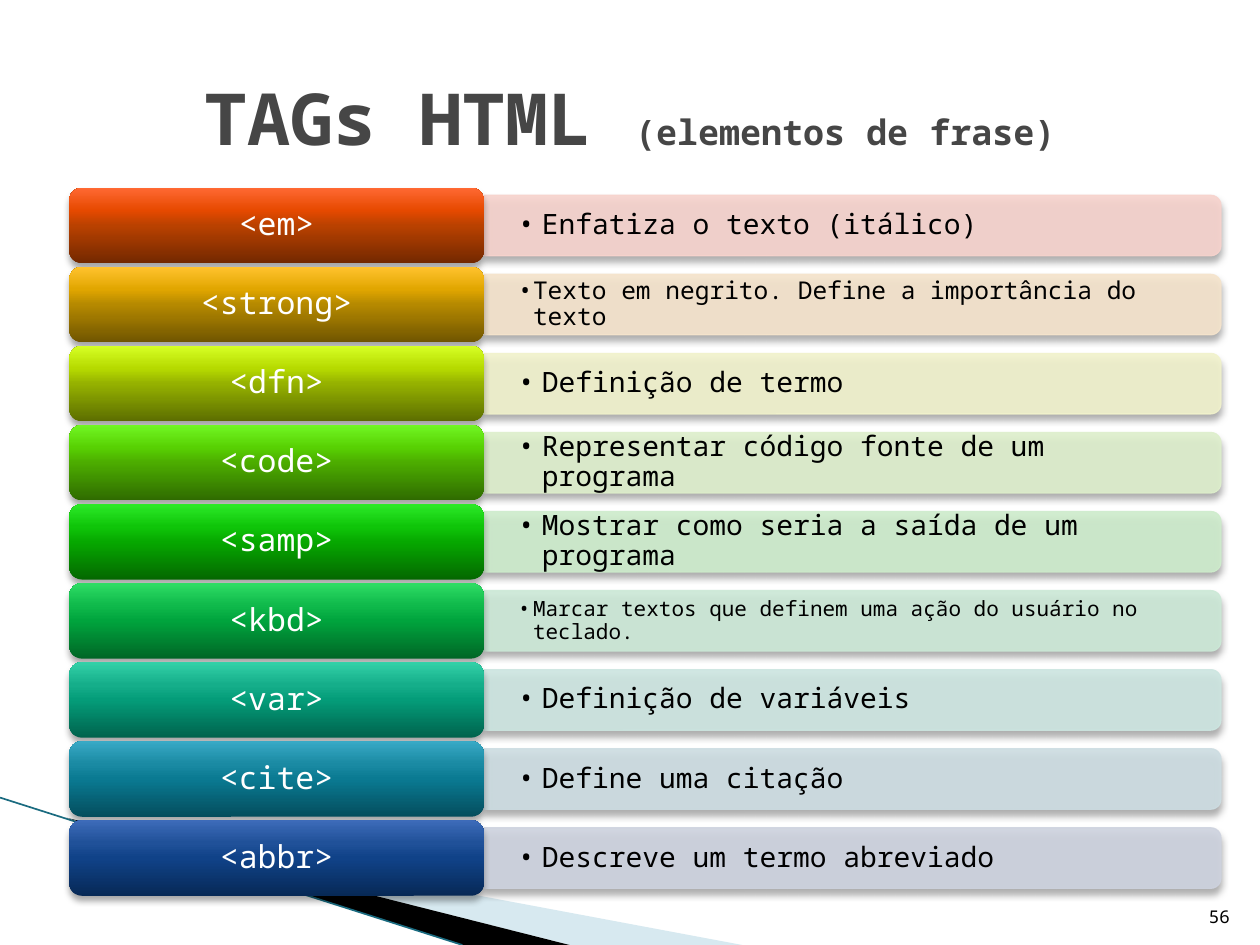
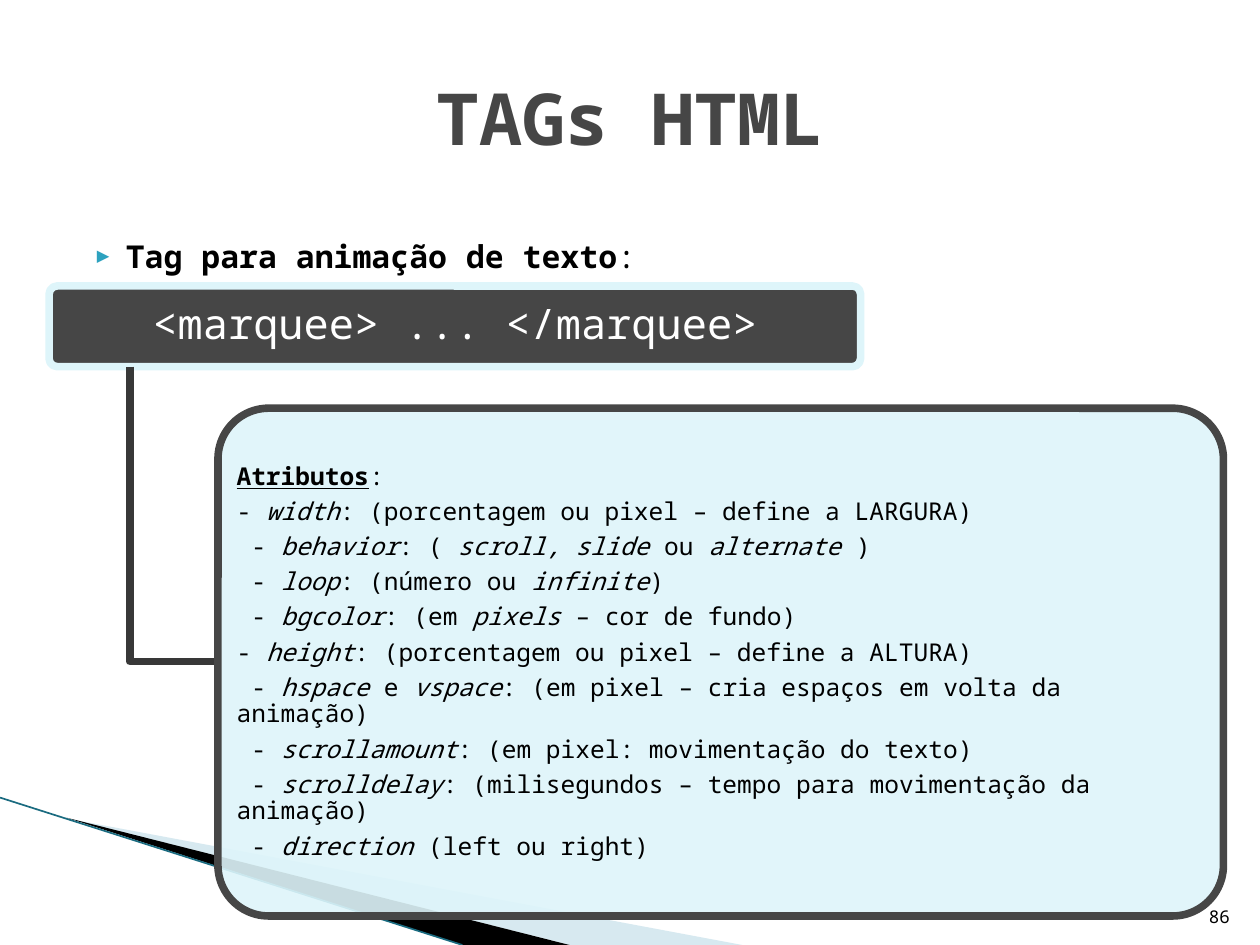
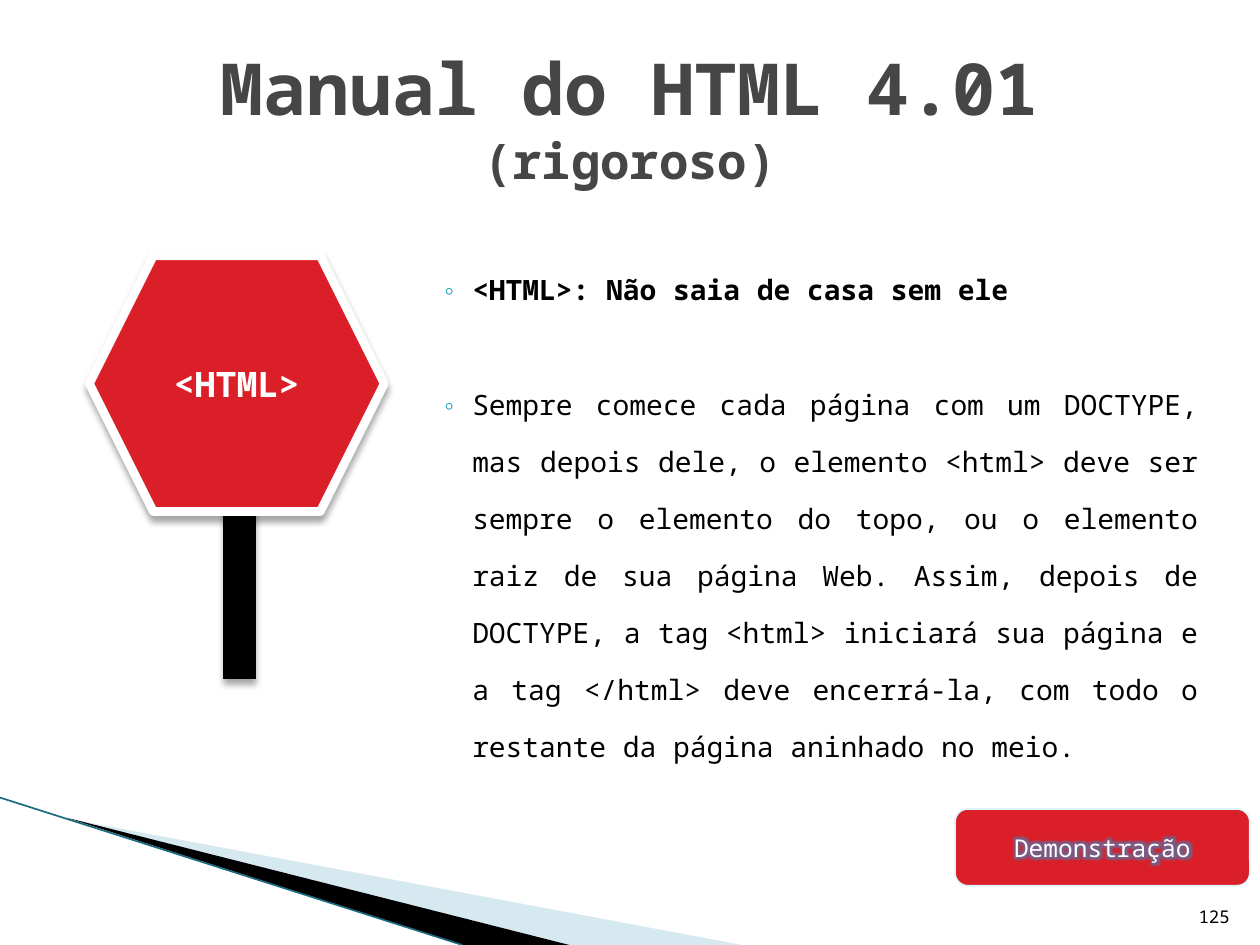
"""Build three slides of an HTML course: phrase tags, marquee and the html element."""
import pptx
import pptx.dml.color
import pptx.enum.shapes
import pptx.enum.text
import pptx.oxml.ns
import pptx.util
from lxml import etree

Inches, Pt = pptx.util.Inches, pptx.util.Pt
SHAPE = pptx.enum.shapes.MSO_SHAPE
ALIGN = pptx.enum.text.PP_ALIGN
ANCHOR = pptx.enum.text.MSO_ANCHOR
qn = pptx.oxml.ns.qn

FONT = "Noto Sans Mono"
COLORS = {
    "title": "464646", "text": "000000", "white": "FFFFFF", "bullet": "2DA2BF",
    "wedge": "A0CBDC", "edge": "1A6B80", "dark": "464646", "pale": "DEF5FA",
    "elbow": "383838", "red": "DA1F28", "glow": "5079AE",
}
GRADIENT_STOPS = (0, 50, 70, 100)

PHRASE_TAGS = [
    ("<em>", "Enfatiza o texto (itálico)", 16, "F7D3CD", ("732800", "B94100", "E64900", "FF6933")),
    ("<strong>", "Texto em negrito. Define a importância do texto", 14, "F5E4CC",
     ("705500", "B58900", "E1A600", "FFC22D")),
    ("<dfn>", "Definição de termo", 16, "F1F2CC", ("5C6E00", "95B100", "B6DA00", "D6FF24")),
    ("<code>", "Representar código fonte de um programa", 16, "DEEFCC",
     ("2F6B00", "4CAC00", "58D103", "71F723")),
    ("<samp>", "Mostrar como seria a saída de um programa", 16, "CEECCC",
     ("046800", "06A800", "0FC509", "2CEA28")),
    ("<kbd>", "Marcar textos que definem uma ação do usuário no teclado.", 12, "CCE9D7",
     ("006626", "00A43D", "0FB94B", "2EDD64")),
    ("<var>", "Definição de variáveis", 16, "CDE6E1", ("00634D", "049C79", "15AE8A", "33D1A8")),
    ("<cite>", "Define uma citação", 16, "CDDDE2", ("044D5D", "0A7A92", "1A8AA3", "38A9C5")),
    ("<abbr>", "Descreve um termo abreviado", 16, "CED3DF", ("072956", "104288", "205199", "3D6BB9")),
]

MARQUEE_ATTRIBUTES = [
    "- *width*: (porcentagem ou pixel – define a LARGURA)",
    " - *behavior*: ( *scroll, slide *ou *alternate *)",
    " - *loop*: (número ou *infinite*)",
    " - *bgcolor*: (em *pixels* – cor de fundo)",
    "- *height*: (porcentagem ou pixel – define a ALTURA)",
    " - *hspace* e *vspace*: (em pixel – cria espaços em volta da animação)",
    " - *scrollamount*: (em pixel: movimentação do texto)",
    " - *scrolldelay*: (milisegundos – tempo para movimentação da animação)",
    " - *direction* (left ou right)",
]

HTML_RULE = "<HTML>: Não saia de casa sem ele"
HTML_TEXT = (
    "Sempre comece cada página com um DOCTYPE, mas depois dele, o elemento <html> deve ser "
    "sempre o elemento do topo, ou o elemento raiz de sua página Web. Assim, depois de DOCTYPE, "
    "a tag <html> iniciará sua página e a tag </html> deve encerrá-la, com todo o restante da "
    "página aninhado no meio."
)


def rgb(color):
    return pptx.dml.color.RGBColor.from_string(COLORS.get(color, color))


def sub(parent, tag, **attrs):
    return etree.SubElement(parent, qn(tag), {k: str(v) for k, v in attrs.items()})


def color_node(parent, color, alpha=100):
    node = sub(parent, "a:srgbClr", val=COLORS.get(color, color))
    if alpha < 100:
        sub(node, "a:alpha", val=alpha * 1000)


def set_alpha(sp, alpha):
    for node in sp._element.spPr.iter(qn("a:srgbClr")):
        sub(node, "a:alpha", val=alpha * 1000)


def add_shadow(sp):
    effects = sp._element.spPr.find(qn("a:effectLst"))
    shadow = sub(effects, "a:outerShdw", blurRad=Pt(4), dist=Pt(3), dir=5400000, rotWithShape=0)
    color_node(shadow, "text", 35)


def set_gradient(sp, colors):
    sp.fill.gradient()
    sp.fill.gradient_angle = 90
    stops = sp._element.spPr.find(qn("a:gradFill")).find(qn("a:gsLst"))
    for stop in list(stops):
        stops.remove(stop)
    for pos, color in zip(GRADIENT_STOPS, colors):
        color_node(sub(stops, "a:gs", pos=pos * 1000), color)


def style(sp, fill=None, line=None, width=1):
    sp.shadow.inherit = False
    if fill:
        sp.fill.solid()
        sp.fill.fore_color.rgb = rgb(fill)
    else:
        sp.fill.background()
    if line:
        sp.line.color.rgb = rgb(line)
        sp.line.width = Pt(width)
    else:
        sp.line.fill.background()
    return sp


def add_box(s, kind, box, **look):
    return style(s.shapes.add_shape(kind, *map(Inches, box)), **look)


def add_path(s, points, close=True, **look):
    points = [tuple(map(Inches, point)) for point in points]
    builder = s.shapes.build_freeform(*points[0])
    builder.add_line_segments(points[1:], close=close)
    return style(builder.convert_to_shape(), **look)


def add_line(s, start, end, color, width):
    line = s.shapes.add_connector(
        pptx.enum.shapes.MSO_CONNECTOR.STRAIGHT, *map(Inches, start + end))
    line.line.color.rgb = rgb(color)
    line.line.width = Pt(width)
    sub(line._element.spPr, "a:effectLst")
    return line


def frame(sp, anchor=ANCHOR.MIDDLE, inset=(0.1, 0.05)):
    tf = sp.text_frame
    tf.word_wrap = True
    tf.auto_size = pptx.enum.text.MSO_AUTO_SIZE.NONE
    tf.vertical_anchor = anchor
    tf.margin_left = tf.margin_right = Inches(inset[0])
    tf.margin_top = tf.margin_bottom = Inches(inset[1])
    return tf


def add_text(s, box, **layout):
    return frame(s.shapes.add_textbox(*map(Inches, box)), **layout)


def write(tf, *runs, size=16, color="text", bold=False, align=ALIGN.LEFT, spacing=None,
          before=0, after=0, bullet=None, bullet_color=None, bullet_size=None, indent=(0, 0)):
    """Add one paragraph; a run is text or (text, font overrides)."""
    p = tf.paragraphs[0] if not tf.paragraphs[0].runs else tf.add_paragraph()
    if bullet:
        pPr = p._p.get_or_add_pPr()
        pPr.set("marL", str(Inches(indent[0])))
        pPr.set("indent", str(-Inches(indent[1])))
        if bullet_color:
            color_node(sub(pPr, "a:buClr"), bullet_color)
        if bullet_size:
            sub(pPr, "a:buSzPct", val=bullet_size * 1000)
        sub(pPr, "a:buFont", typeface=FONT)
        sub(pPr, "a:buChar", char=bullet)
    p.alignment = align
    p.space_before, p.space_after = Pt(before), Pt(after)
    if spacing:
        p.line_spacing = spacing
    for run in runs:
        text, changes = (run, {}) if isinstance(run, str) else run
        r = p.add_run()
        r.text = text
        look = {"name": FONT, "size": Pt(size), "bold": bold, **changes}
        r.font.color.rgb = rgb(color)
        for key, value in look.items():
            setattr(r.font, key, value)
    return p


def italic_runs(text):
    return [(part, {"italic": i % 2 == 1}) for i, part in enumerate(text.split("*")) if part]


def add_slide(prs, number, *title_runs):
    s = prs.slides.add_slide(prs.slide_layouts[5])
    wedge = add_path(s, [(0.55, 6.5), (5.89, 7.5), (4.52, 7.5)], fill="wedge")
    set_alpha(wedge, 42)
    add_path(s, [(0.53, 6.49), (4.52, 7.5), (3.67, 7.5)], fill="text")
    add_line(s, (0, 6.33), (3.67, 7.5), "edge", 0.95)
    title = s.shapes.title
    title.left, title.top, title.width, title.height = map(Inches, (0.5, 0.3, 9, 1.25))
    write(frame(title), *title_runs, size=41, color="title", bold=True, align=ALIGN.CENTER)
    tf = add_text(s, (9.26, 7.01, 0.6, 0.4), anchor=ANCHOR.BOTTOM)
    write(tf, str(number), size=10, align=ALIGN.RIGHT)
    return s


def phrase_slide(prs):
    s = add_slide(prs, 56, "TAGs HTML ", ("(elementos de frase)", {"size": Pt(20)}))
    first_top, last_top = 1.49, 6.51
    tag_left, tag_w, tag_h = 0.55, 3.29, 0.6
    bar_w, bar_h = 5.85, 0.48
    bar_left = tag_left + tag_w
    pitch = (last_top - first_top) / (len(PHRASE_TAGS) - 1)
    for i, (tag, meaning, size, tint, gradient) in enumerate(PHRASE_TAGS):
        top = first_top + i * pitch
        middle = top + tag_h / 2
        bar = add_box(s, SHAPE.ROUND_2_SAME_RECTANGLE,
                      (bar_left + (bar_w - bar_h) / 2, middle - bar_w / 2, bar_h, bar_w),
                      fill=tint, line=tint, width=0.75)
        bar.rotation = 90
        set_alpha(bar, 90)
        add_shadow(bar)
        tf = add_text(s, (bar_left, middle - bar_h / 2, bar_w, bar_h), inset=(0.27, 0))
        hang = 0.19 if size == 16 else 0.12
        write(tf, meaning, size=size, spacing=0.9, bullet="•", indent=(hang, hang))
        block = add_box(s, SHAPE.ROUNDED_RECTANGLE, (tag_left, top, tag_w, tag_h))
        set_gradient(block, gradient)
        add_shadow(block)
        write(frame(block), tag, size=18, color="white", align=ALIGN.CENTER, spacing=0.9)


def marquee_slide(prs):
    s = add_slide(prs, 86, "TAGs HTML")
    tf = add_text(s, (0.5, 1.62, 9, 0.7), anchor=ANCHOR.TOP)
    write(tf, "Tag para animação de texto", (":", {"bold": False}), size=18, bold=True,
          align=ALIGN.JUSTIFY, spacing=1.7, bullet="▶", bullet_color="bullet", bullet_size=68,
          indent=(0.4, 0.28))
    header = add_box(s, SHAPE.ROUNDED_RECTANGLE, (0.39, 2.27, 6.44, 0.64),
                     fill="dark", line="pale", width=4.33)
    write(frame(header), "<marquee> ... </marquee>", size=24, color="white",
          align=ALIGN.CENTER, spacing=0.9)
    add_path(s, [(1.03, 2.91), (1.03, 5.25), (1.73, 5.25)], close=False, line="elbow", width=4.33)
    panel = add_box(s, SHAPE.ROUNDED_RECTANGLE, (1.73, 3.24, 7.98, 4.03), fill="pale")
    set_alpha(panel, 90)
    panel.line.color.rgb = rgb("dark")
    panel.line.width = Pt(4.33)
    for sp in (header, panel):
        sp.adjustments[0] = 0.1
    tf = frame(panel, inset=(0.03, 0.02))
    look = {"size": 14, "spacing": 0.9, "after": 5}
    write(tf, ("Atributos", {"bold": True, "underline": True}), ":", **look)
    for attribute in MARQUEE_ATTRIBUTES:
        write(tf, *italic_runs(attribute), **look)


def html_slide(prs):
    s = add_slide(prs, 125, "Manual do HTML 4.01 ", ("(rigoroso)", {"size": Pt(28)}))
    tf = add_text(s, (2.97, 1.93, 6.64, 4.95), anchor=ANCHOR.TOP)
    look = {"align": ALIGN.JUSTIFY, "spacing": 1.7, "bullet": "◦", "bullet_color": "bullet",
            "indent": (0.68, 0.25)}
    write(tf, HTML_RULE, bold=True, **look)
    write(tf, HTML_TEXT, before=33, **look)
    add_shadow(add_line(s, (1.9, 3.67), (1.9, 5.39), "text", 18.75))
    sign = add_box(s, SHAPE.HEXAGON, (0.71, 2.03, 2.34, 2.03), fill="red", line="white", width=5)
    add_shadow(sign)
    write(frame(sign), "<HTML>", size=20, color="white", bold=True, align=ALIGN.CENTER)
    button = add_box(s, SHAPE.ROUNDED_RECTANGLE, (7.58, 6.42, 2.34, 0.61), fill="red", line="pale")
    p = write(frame(button), "Demonstração", size=14, color="white", align=ALIGN.CENTER)
    effects = etree.Element(qn("a:effectLst"))
    color_node(sub(effects, "a:glow", rad=Pt(10)), "glow", 70)
    p.runs[0]._r.rPr.find(qn("a:solidFill")).addnext(effects)


def main():
    prs = pptx.Presentation()
    prs.slide_width, prs.slide_height = Inches(10), Inches(7.5)
    phrase_slide(prs)
    marquee_slide(prs)
    html_slide(prs)
    prs.save("out.pptx")


if __name__ == "__main__":
    main()
